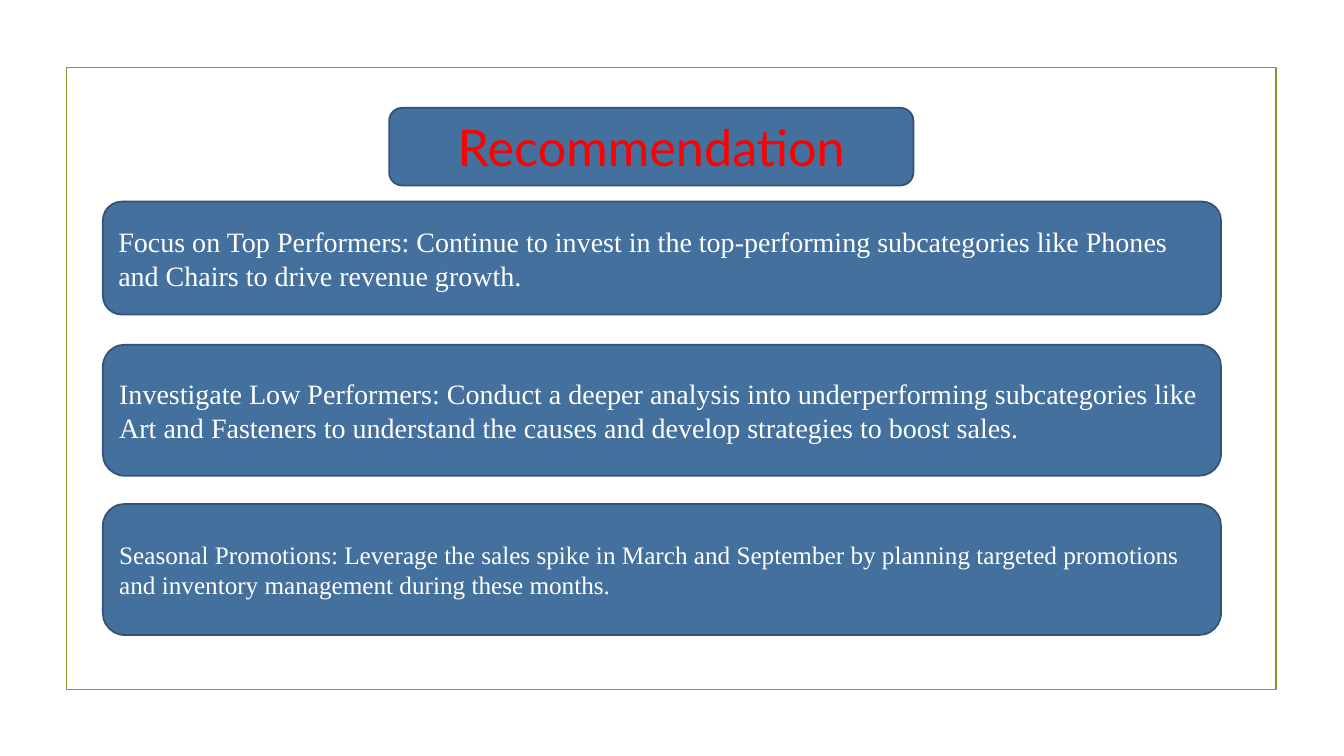
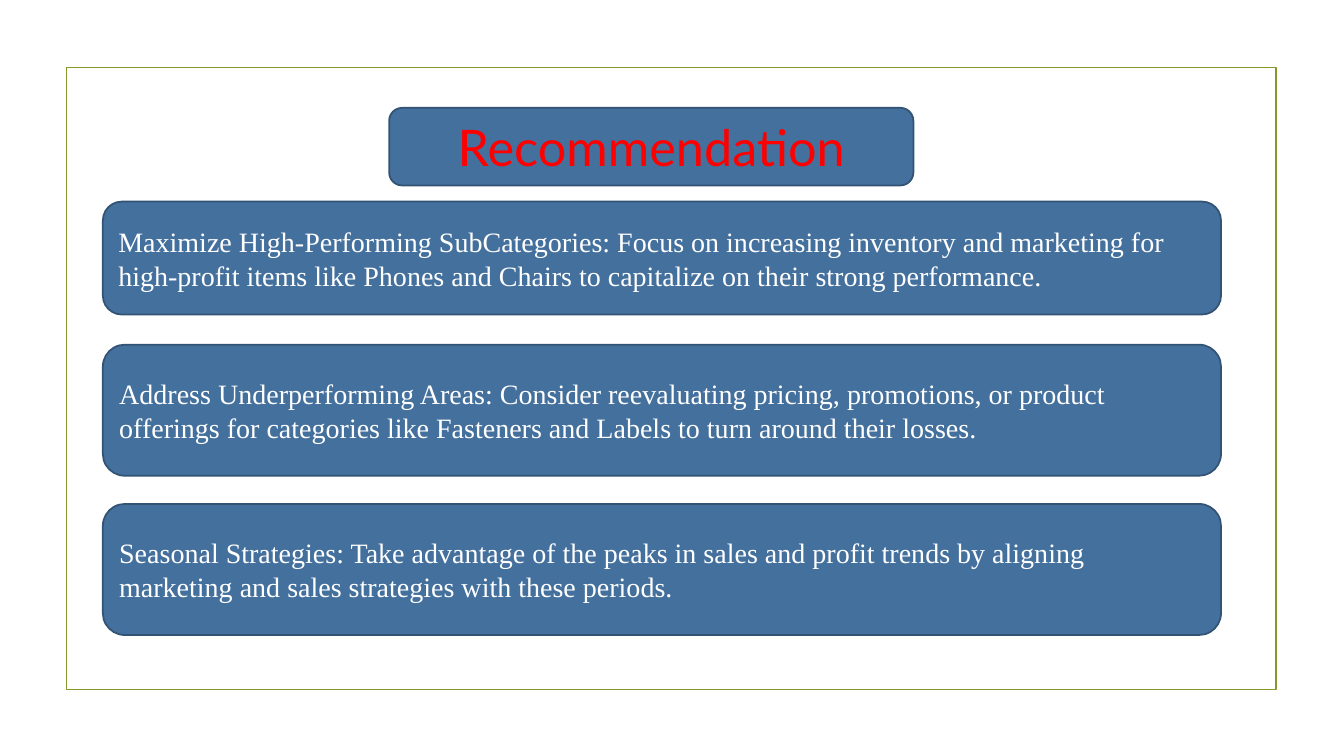
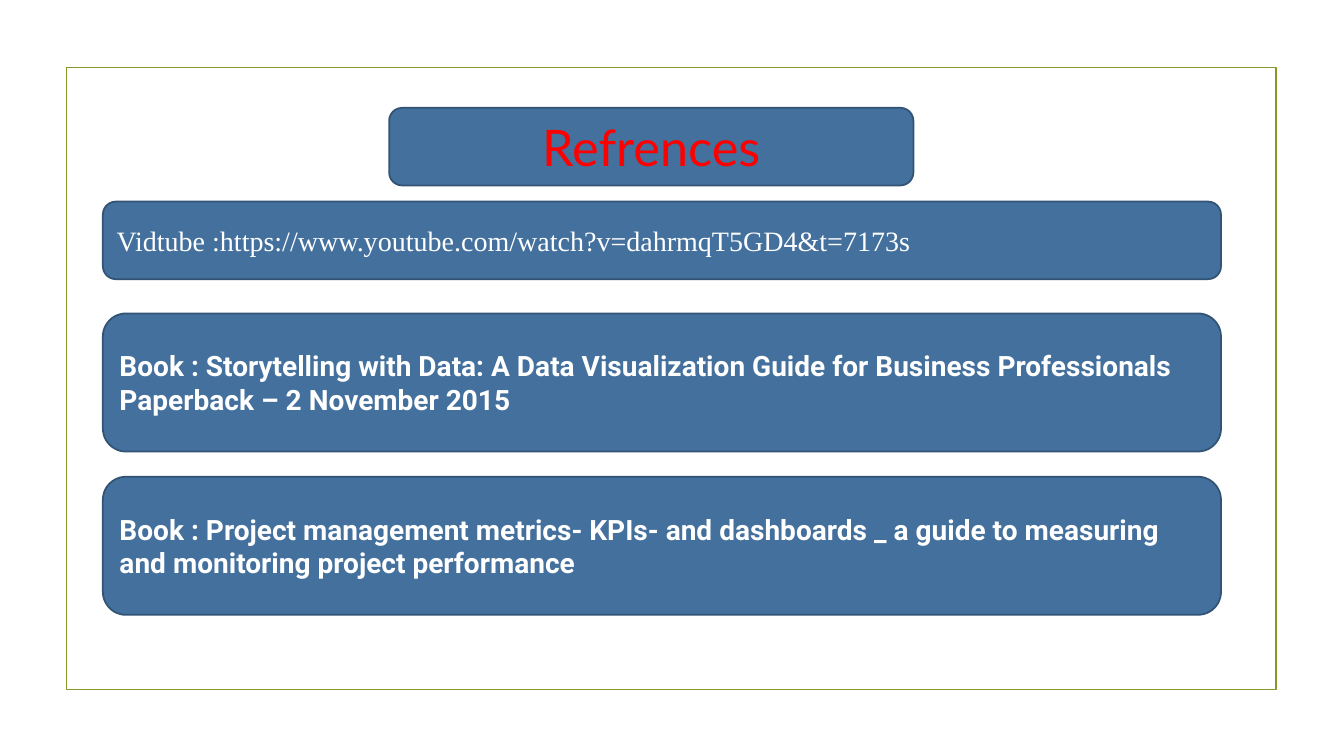
from pptx import Presentation
from pptx.dml.color import RGBColor
from pptx.enum.shapes import MSO_SHAPE
from pptx.enum.text import MSO_ANCHOR, PP_ALIGN
from pptx.util import Pt

RECT = MSO_SHAPE.RECTANGLE
ROUND = MSO_SHAPE.ROUNDED_RECTANGLE
MIDDLE = MSO_ANCHOR.MIDDLE
LEFT, CENTER = PP_ALIGN.LEFT, PP_ALIGN.CENTER

SCALE = 9144
BLUE, NAVY, OLIVE = "44709D", "325374", "83992A"
RED, WHITE = "FF0000", "FFFFFF"
HEAD, SERIF, SANS = "Lato", "Times New Roman", "Roboto"

FRAME = (66, 67, 1200, 617)
TITLE = (320, 40, 520, 77)
CARD_X, CARD_W = 36, 1109
TIP_ROWS = ((133, 112), (275, 130), (433, 130))
REF_ROWS = ((133, 77), (244, 137), (406, 137))

PAGES = (
    ("Recommendation", TIP_ROWS, (
        ("Focus on Top Performers: Continue to invest in the top-performing "
         "subcategories like Phones and Chairs to drive revenue growth.", 20, SERIF),
        ("Investigate Low Performers: Conduct a deeper analysis into underperforming "
         "subcategories like Art and Fasteners to understand the causes and develop "
         "strategies to boost sales.", 20, SERIF),
        ("Seasonal Promotions: Leverage the sales spike in March and September by "
         "planning targeted promotions and inventory management during these months.",
         18, SERIF),
    )),
    ("Recommendation", TIP_ROWS, (
        ("Maximize High-Performing SubCategories: Focus on increasing inventory and "
         "marketing for high-profit items like Phones and Chairs to capitalize on "
         "their strong performance.", 20, SERIF),
        ("Address Underperforming Areas: Consider reevaluating pricing, promotions, or "
         "product offerings for categories like Fasteners and Labels to turn around "
         "their losses.", 20, SERIF),
        ("Seasonal Strategies: Take advantage of the peaks in sales and profit trends "
         "by aligning marketing and sales strategies with these periods.", 20, SERIF),
    )),
    ("Refrences", REF_ROWS, (
        ("Vidtube :https://www.youtube.com/watch?v=dahrmqT5GD4&t=7173s", 20, SERIF),
        ("Book : Storytelling with Data: A Data Visualization Guide for Business "
         "Professionals Paperback – 2 November 2015", 20, SANS),
        ("Book : Project management metrics- KPIs- and dashboards _ a guide to "
         "measuring and monitoring project performance", 20, SANS),
    )),
)


def color(text):
    return RGBColor.from_string(text)


def draw(slide, kind, box, edge, fill=None):
    shape = slide.shapes.add_shape(kind, *(n * SCALE for n in box))
    shape.shadow.inherit = False
    shape.line.color.rgb = color(edge)
    shape.line.width = Pt(1.25)
    if fill:
        shape.fill.solid()
        shape.fill.fore_color.rgb = color(fill)
    else:
        shape.fill.background()
    return shape


def card(slide, box, text, size, face, ink=WHITE, align=LEFT):
    frame = draw(slide, ROUND, box, NAVY, BLUE).text_frame
    frame.word_wrap = True
    frame.vertical_anchor = MIDDLE
    frame.text = text
    para = frame.paragraphs[0]
    para.alignment = align
    font = para.runs[0].font
    font.name, font.size = face, Pt(size)
    font.bold = face == SANS
    font.color.rgb = color(ink)


def page(slide, box, title, rows, cards):
    left, top = box[:2]
    draw(slide, RECT, box, OLIVE)
    x, y, wide, high = TITLE
    card(slide, (left + x, top + y, wide, high), title, 36, HEAD, RED, CENTER)
    for (y, high), (text, size, face) in zip(rows, cards):
        card(slide, (left + CARD_X, top + y, CARD_W, high), text, size, face)


def main():
    deck = Presentation()
    deck.slide_width, deck.slide_height = 1333 * SCALE, 750 * SCALE
    for title, rows, cards in PAGES:
        slide = deck.slides.add_slide(deck.slide_layouts[6])
        page(slide, FRAME, title, rows, cards)
    deck.save("out.pptx")


if __name__ == "__main__":
    main()
